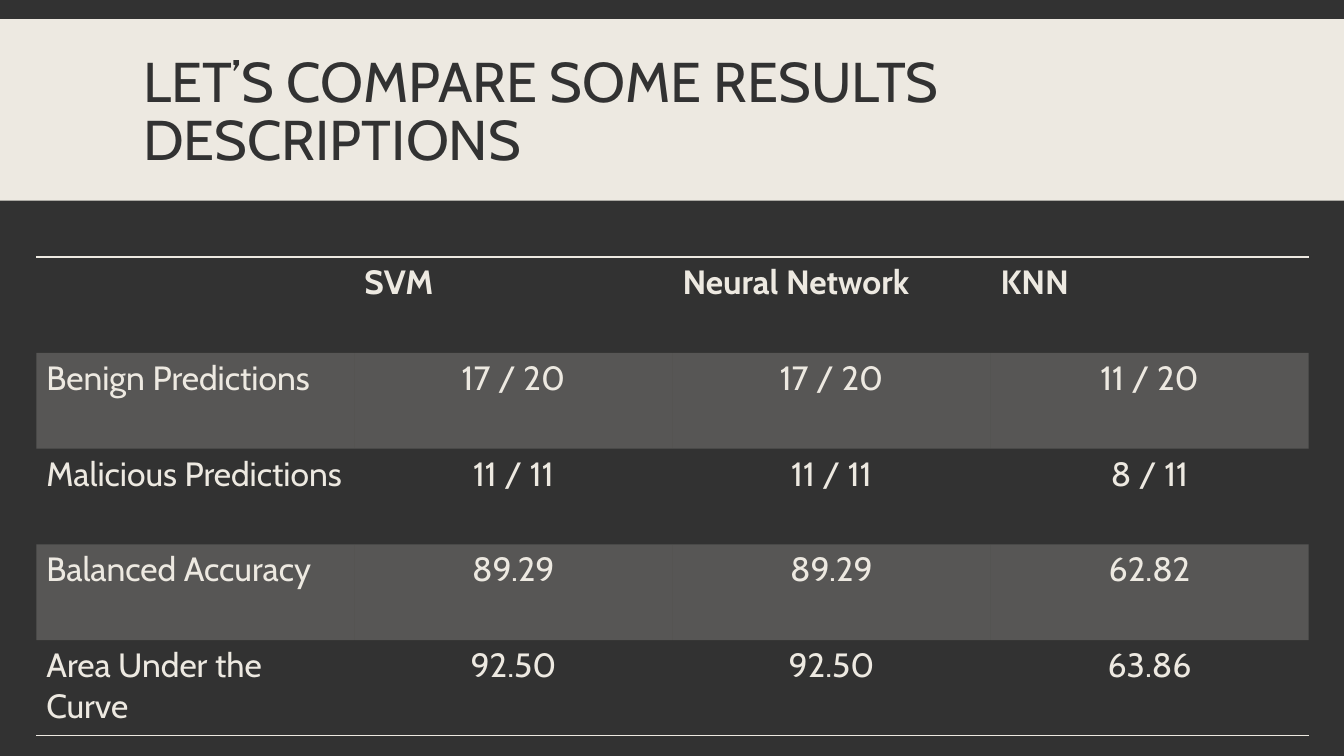
"""Build a slide comparing the results of three classifiers."""
from lxml import etree
from pptx import Presentation
from pptx import util as u
from pptx.dml.color import RGBColor
from pptx.enum import shapes, text
from pptx.oxml.ns import qn

DARK, CREAM, FONT = "323232", "EDE9E1", "Cabin"
PLAIN_TABLE = "{2D5ABB26-0587-4C30-8999-92F81FD0307C}"
RESULTS = [
    ["", "SVM", "Neural Network", "KNN"],
    ["Benign Predictions", "17 / 20", "17 / 20", "11 / 20"],
    ["Malicious Predictions", "11 / 11", "11 / 11", "8 / 11"],
    ["Balanced Accuracy", "89.29", "89.29", "62.82"],
    ["Area Under the Curve", "92.50", "92.50", "63.86"],
]


def rgb(value):
    """Turn a hex string into a colour."""
    return RGBColor.from_string(value)


def style_paragraph(p, size, color, align, bold=False):
    """Set the alignment and font of a paragraph."""
    p.alignment = align
    p.font.name, p.font.size, p.font.bold = FONT, u.Pt(size), bold
    p.font.color.rgb = rgb(color)


def add_title(s, lines):
    """Fill and place the title, one paragraph per line."""
    title = s.shapes.title
    title.left, title.top = u.Inches(1.32), u.Inches(0.31)
    title.width, title.height = u.Inches(10.7), u.Inches(1.65)
    tf = title.text_frame
    tf.text = "\n".join(lines)
    tf.word_wrap = True
    tf.auto_size = text.MSO_AUTO_SIZE.NONE
    tf.vertical_anchor = text.MSO_ANCHOR.MIDDLE
    for p in tf.paragraphs:
        style_paragraph(p, 40, DARK, text.PP_ALIGN.LEFT)
        p.line_spacing = 0.85
        p.space_before = u.Pt(0)


def add_band(s, width):
    """Add the light band behind the title."""
    band = s.shapes.add_shape(shapes.MSO_SHAPE.RECTANGLE, 0, u.Inches(0.19),
                              width, u.Inches(1.8))
    band.shadow.inherit = False
    band.fill.solid()
    band.fill.fore_color.rgb = rgb(CREAM)
    band.line.fill.background()
    s.shapes.title.element.addprevious(band.element)


def add_border(cell, side):
    """Draw a thin light line on one side of a cell."""
    ln = etree.Element(qn(f"a:{side}"), w=str(u.Pt(1)))
    fill = etree.SubElement(ln, qn("a:solidFill"))
    etree.SubElement(fill, qn("a:srgbClr"), val=CREAM)
    cell._tc.get_or_add_tcPr().insert(0, ln)


def fill_cell(cell, shaded):
    """Give a cell a translucent light fill or none."""
    if not shaded:
        cell.fill.background()
        return
    cell.fill.solid()
    cell.fill.fore_color.rgb = rgb(CREAM)
    color = cell._tc.tcPr.find(".//" + qn("a:srgbClr"))
    etree.SubElement(color, qn("a:alpha"), val="20000")


def add_results(s, rows):
    """Add the table of results with shaded alternate rows."""
    frame = s.shapes.add_table(len(rows), len(rows[0]), u.Inches(0.36),
                               u.Inches(2.55), u.Inches(12.62), u.Inches(4.75))
    table = frame.table
    table.first_row = table.horz_banding = False
    table._tbl.tblPr.find(qn("a:tableStyleId")).text = PLAIN_TABLE
    for i, row in enumerate(rows):
        for j, value in enumerate(row):
            cell = table.cell(i, j)
            cell.text = value
            centred = i > 0 and j > 0
            align = text.PP_ALIGN.CENTER if centred else text.PP_ALIGN.LEFT
            style_paragraph(cell.text_frame.paragraphs[0], 24, CREAM, align,
                            bold=i == 0)
            fill_cell(cell, i % 2 == 1)
            if i == 0:
                add_border(cell, "lnT")
            if i == len(rows) - 1:
                add_border(cell, "lnB")


def main():
    """Build and save the presentation."""
    prs = Presentation()
    prs.slide_width, prs.slide_height = u.Inches(13.33), u.Inches(7.5)
    s = prs.slides.add_slide(prs.slide_layouts[5])
    s.background.fill.solid()
    s.background.fill.fore_color.rgb = rgb(DARK)
    add_title(s, ["LET’S COMPARE SOME RESULTS", "DESCRIPTIONS"])
    add_band(s, prs.slide_width)
    add_results(s, RESULTS)
    prs.save("out.pptx")


if __name__ == "__main__":
    main()
